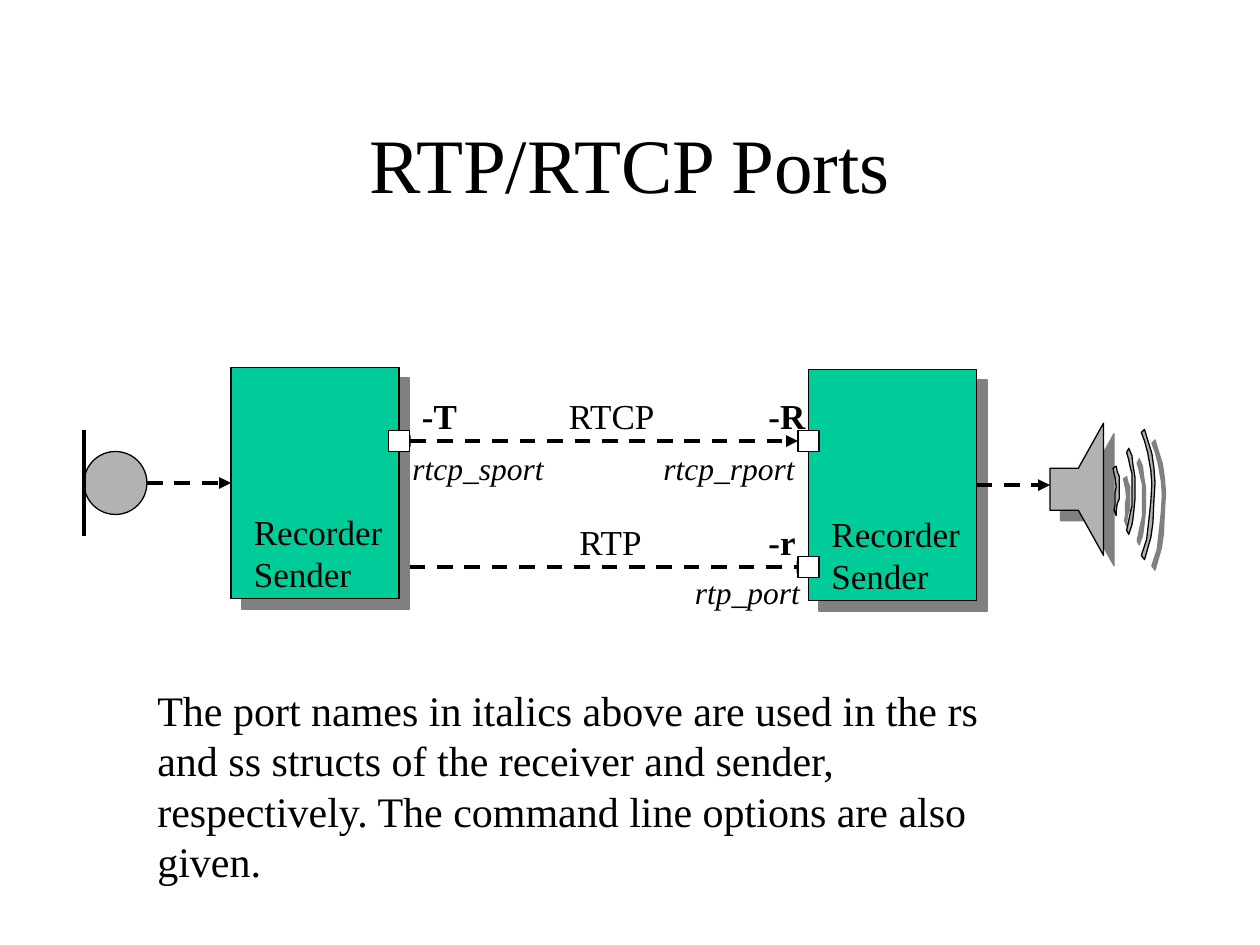
from dataclasses import dataclass

from lxml import etree
from pptx import Presentation
from pptx import util as u
from pptx.dml import color
from pptx.enum import dml, shapes, text
from pptx.oxml import ns

PX = 7620  # EMU per px, 120 px to the inch
FONT = "Times New Roman"
HUES = {"ink": "000000", "paper": "FFFFFF", "box": "00CC99",
        "gray": "B2B2B2", "shade": "808080"}


@dataclass
class Label:
    text: str
    x: int
    y: int
    w: int
    h: int
    size: int = 20
    bold: bool = False
    slant: bool = False
    wrap: bool = False


@dataclass
class Wire:
    x1: int
    y1: int
    x2: int
    y2: int
    dash: bool = True
    head: bool = False
    tail: bool = True


def hue(name: str) -> color.RGBColor:
    return color.RGBColor.from_string(HUES[name])


def sub(node, tag: str, **attrs: str):
    return etree.SubElement(node, ns.qn(tag), attrs)


def paint(shape, fill: str, shade: bool = False) -> None:
    """Fill and outline a shape, with an optional hard drop shadow."""
    shape.shadow.inherit = False
    shape.fill.solid()
    shape.fill.fore_color.rgb = hue(fill)
    shape.line.color.rgb = hue("ink")
    shape.line.width = u.Pt(0.75)
    if shade:
        fx = shape._element.spPr.find(ns.qn("a:effectLst"))
        drop = sub(fx, "a:outerShdw", dist=str(u.Pt(8.5)), dir="2700000",
                   algn="ctr", rotWithShape="0")
        sub(drop, "a:srgbClr", val=HUES["shade"])


def block(tree, kind, x: int, y: int, w: int, h: int, fill: str,
          shade: bool = False):
    shape = tree.add_shape(kind, x * PX, y * PX, w * PX, h * PX)
    paint(shape, fill, shade)
    return shape


def wire(tree, spec: Wire):
    line = tree.add_connector(shapes.MSO_CONNECTOR.STRAIGHT, spec.x1 * PX,
                              spec.y1 * PX, spec.x2 * PX, spec.y2 * PX)
    line.line.color.rgb = hue("ink")
    line.line.width = u.Pt(2.25)
    if spec.dash:
        line.line.dash_style = dml.MSO_LINE.DASH
    props = line._element.spPr
    ln = props.find(ns.qn("a:ln"))
    if spec.head:
        sub(ln, "a:headEnd", type="triangle")
    if spec.tail:
        sub(ln, "a:tailEnd", type="triangle")
    sub(props, "a:effectLst")
    return line


def write(tree, tag: Label):
    box = tree.add_textbox(tag.x * PX, tag.y * PX, tag.w * PX, tag.h * PX)
    frame = box.text_frame
    frame.text = tag.text
    frame.word_wrap = tag.wrap
    frame.auto_size = text.MSO_AUTO_SIZE.NONE
    for run in frame.paragraphs[0].runs:
        font = run.font
        font.name, font.size = FONT, u.Pt(tag.size)
        font.bold, font.italic = tag.bold, tag.slant
        font.color.rgb = hue("ink")
    return frame


# Speaker cone and three sound waves
SPEAKER = [
    [(1000, 446), (1027, 446), (1051, 403), (1051, 529), (1027, 486),
     (1000, 486)],
    [(1060, 446), (1063, 444), (1064, 449), (1066, 454), (1066, 460),
     (1066, 475), (1064, 480), (1063, 487), (1063, 491), (1061, 486),
     (1062, 480), (1062, 469), (1063, 464), (1062, 455), (1061, 451)],
    [(1075, 427), (1078, 434), (1079, 443), (1081, 455), (1081, 475),
     (1080, 485), (1079, 494), (1078, 500), (1075, 509), (1073, 505),
     (1076, 491), (1078, 482), (1078, 451), (1076, 443), (1075, 438),
     (1073, 431)],
    [(1087, 412), (1090, 409), (1093, 419), (1097, 432), (1099, 446),
     (1100, 460), (1099, 476), (1098, 498), (1096, 512), (1090, 533),
     (1087, 529), (1092, 514), (1094, 497), (1096, 478), (1097, 461),
     (1096, 448), (1093, 431), (1090, 420)],
]

# Boxes are a little wider than their words, so that no line breaks
LABELS = [
    Label("RTCP", 530, 370, 112, 53, wrap=True),
    Label("RTP", 540, 490, 90, 53, wrap=True),
    Label("rtp_port", 650, 540, 130, 48, 18, slant=True, wrap=True),
    Label("rtcp_rport", 620, 422, 155, 48, 18, slant=True, wrap=True),
    Label("rtcp_sport", 381, 422, 155, 48, 18, slant=True, wrap=True),
    Label("-T", 390, 370, 64, 53, bold=True, wrap=True),
    Label("-R", 720, 370, 64, 53, bold=True, wrap=True),
    Label("-r", 720, 490, 56, 53, bold=True, wrap=True),
    Label("The port names in italics above are used in the rs and ss structs "
          "of the receiver and sender, respectively. The command line options "
          "are also given.", 138, 646, 822, 204, 24, wrap=True),
]


def main() -> None:
    deck = Presentation()
    deck.slide_width, deck.slide_height = 1200 * PX, 900 * PX
    tree = deck.slides.add_slide(deck.slide_layouts[6]).shapes
    rect = shapes.MSO_SHAPE.RECTANGLE

    # Title
    frame = write(tree, Label("RTP/RTCP Ports", 90, 80, 1020, 150, 44,
                              wrap=True))
    frame.vertical_anchor = text.MSO_ANCHOR.MIDDLE
    frame.paragraphs[0].alignment = text.PP_ALIGN.CENTER

    # Speaker
    pen = tree.build_freeform(*SPEAKER[0][0], scale=PX)
    for part in SPEAKER:
        if part is not SPEAKER[0]:
            pen.move_to(*part[0])
        pen.add_line_segments(part[1:], close=True)
    paint(pen.convert_to_shape(), "gray", shade=True)

    # Microphone
    mic = tree.add_group_shape().shapes
    block(mic, shapes.MSO_SHAPE.OVAL, 80, 430, 60, 60, "gray")
    wire(mic, Wire(80, 410, 80, 510, dash=False, tail=False))

    # Two hosts
    hosts = []
    for x, y in [(220, 350), (770, 352)]:
        hosts.append(block(tree, rect, x, y, 160, 220, "box", shade=True))
        write(tree, Label("Recorder\vSender", x + 10, y + 130, 160, 92,
                          wrap=True))
    sender, target = hosts

    # Dashed flows
    wire(tree, Wire(140, 460, 220, 460)).end_connect(sender, 1)
    wire(tree, Wire(930, 462, 1000, 462)).begin_connect(target, 3)
    wire(tree, Wire(390, 540, 770, 540))
    rtcp = wire(tree, Wire(380, 420, 760, 420, head=True))

    # Ports
    ports = [block(tree, rect, x, y, 20, 20, "paper")
             for x, y in [(760, 410), (760, 530), (370, 410)]]
    rtcp.end_connect(ports[0], 1)

    # Labels and note
    for tag in LABELS:
        write(tree, tag)

    deck.save("out.pptx")


if __name__ == "__main__":
    main()
